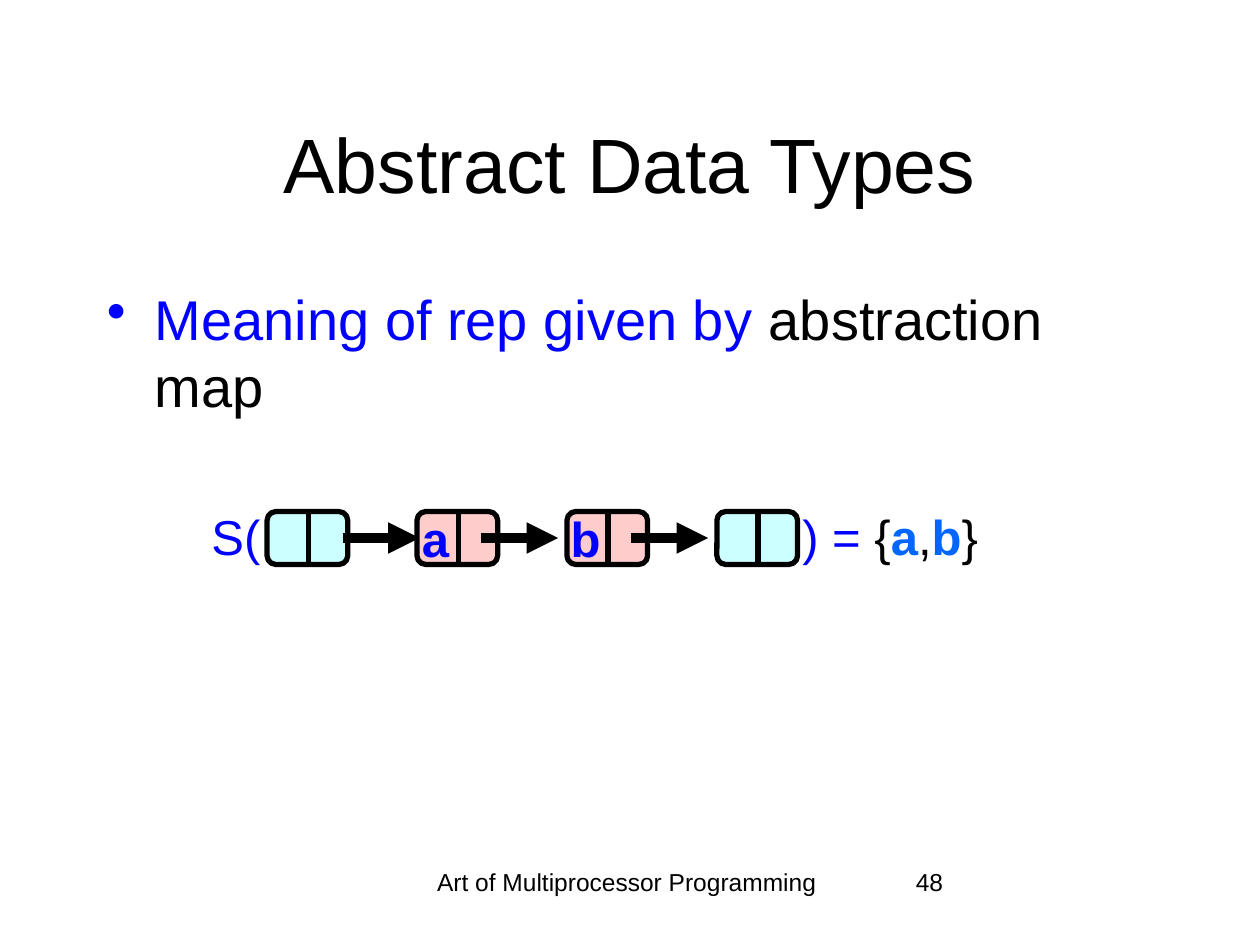
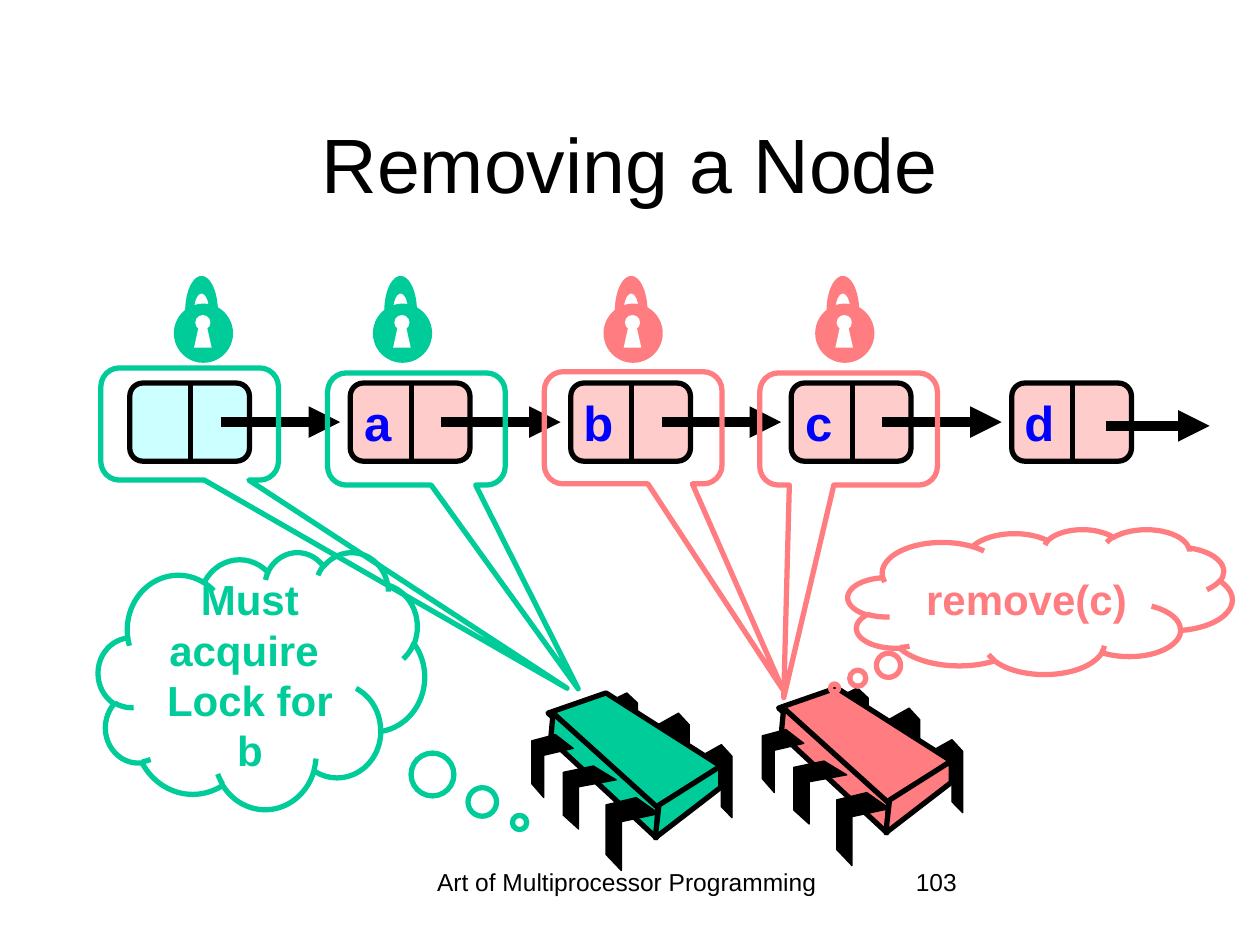
"""Build two slides on concurrent linked lists."""
import math

from lxml import etree
from pptx import Presentation
from pptx.dml.color import RGBColor
from pptx.enum import shapes, text
from pptx.oxml.ns import qn
from pptx.util import Inches, Pt

COLORS = {
    "ink": "000000",
    "paper": "FFFFFF",
    "blue": "0000FF",
    "element": "0066FF",
    "sentinel": "CCFFFF",
    "node": "FFCCCC",
    "green": "00CC99",
    "red": "FF7C80",
}
FONT = "Arial"
CENTER = text.PP_ALIGN.CENTER
TOP, MIDDLE = text.MSO_ANCHOR.TOP, text.MSO_ANCHOR.MIDDLE
PRESET = shapes.MSO_SHAPE

BACK_LEG = [(0, 0.16), (0.66, 0), (1, 0.16), (1, 1), (0.66, 0.85), (0.66, 0.29), (0, 0.43)]
FRONT_LEG = [(0.57, 0), (1, 0.22), (0.29, 0.33), (0.29, 1), (0, 0.78), (0, 0.1)]
BACK_LEG_BOXES = [(1.34, 0.41, 0.25, 0.58), (1, 0.16, 0.25, 0.58), (0.59, 0, 0.25, 0.5)]
FRONT_LEG_BOXES = [(0.59, 0.83, 0.42, 0.58), (0.25, 0.58, 0.42, 0.5), (0, 0.33, 0.33, 0.5)]
CHIP_FACES = [
    [(0.59, 0), (1.5, 0.58), (0.99, 0.93), (0.13, 0.16)],
    [(0.17, 0.16), (1, 0.91), (0.99, 1.15), (0.15, 0.37)],
    [(1.5, 0.58), (1.5, 0.75), (0.98, 1.15), (1.01, 0.89)],
]


def rgb(name):
    """Look up a named colour."""
    return RGBColor.from_string(COLORS[name])


def write(frame, paragraphs, size, color="ink", bold=False, align=None,
          anchor=TOP, wrap=True, bullet=False):
    """Fill a frame with paragraphs, each a string or a list of (text, color, bold)."""
    frame.word_wrap = wrap
    frame.auto_size = text.MSO_AUTO_SIZE.NONE
    frame.vertical_anchor = anchor
    for index, content in enumerate(paragraphs):
        paragraph = frame.add_paragraph() if index else frame.paragraphs[0]
        paragraph.alignment = align
        if bullet:
            props = paragraph._p.get_or_add_pPr()
            props.set("marL", str(Inches(0.38)))
            props.set("indent", str(-Inches(0.38)))
            etree.SubElement(props, qn("a:buChar"), char="•")
        pieces = [(content, color, bold)] if isinstance(content, str) else content
        for words, run_color, run_bold in pieces:
            run = paragraph.add_run()
            run.text = words
            run.font.name = FONT
            run.font.size = Pt(size)
            run.font.bold = run_bold
            run.font.color.rgb = rgb(run_color)


def add_label(slide, box, paragraphs, size, **style):
    """Add a text box and return its frame."""
    frame = slide.shapes.add_textbox(*map(Inches, box)).text_frame
    write(frame, paragraphs, size, **style)
    return frame


def paint(shape, fill=None, line=None, width=3):
    """Set the fill and outline of a shape."""
    shape.shadow.inherit = False
    if fill:
        shape.fill.solid()
        shape.fill.fore_color.rgb = rgb(fill)
    else:
        shape.fill.background()
    if line:
        shape.line.color.rgb = rgb(line)
        shape.line.width = Pt(width)
    else:
        shape.line.fill.background()


def add_preset(slide, preset, box, adjust=(), **look):
    """Add a painted preset shape."""
    shape = slide.shapes.add_shape(preset, *map(Inches, box))
    for index, value in enumerate(adjust):
        shape.adjustments[index] = value
    paint(shape, **look)
    return shape


def add_outline(slide, left, top, points, **look):
    """Add a closed polygon with points relative to a corner."""
    corners = [(Inches(left + x), Inches(top + y)) for x, y in points]
    builder = slide.shapes.build_freeform(*corners[0])
    builder.add_line_segments(corners[1:], close=True)
    paint(builder.convert_to_shape(), **look)


def add_line(slide, start, end, width=3, arrow=False):
    """Draw a straight line, with an arrowhead if asked."""
    line = slide.shapes.add_connector(
        shapes.MSO_CONNECTOR.STRAIGHT, *map(Inches, (*start, *end)))
    line.line.color.rgb = rgb("ink")
    line.line.width = Pt(width)
    props = line._element.spPr
    if arrow:
        etree.SubElement(props.find(qn("a:ln")), qn("a:tailEnd"), type="triangle")
    etree.SubElement(props, qn("a:effectLst"))


def add_pointer(slide, left, y, length):
    """Draw a next-pointer arrow."""
    add_line(slide, (left, y), (left + length, y), width=6, arrow=True)


def add_node(slide, left, top, width, height, key=""):
    """Draw a list node; one without a key is a sentinel."""
    add_preset(slide, PRESET.ROUNDED_RECTANGLE, (left, top, width, height),
               fill="node" if key else "sentinel", line="ink")
    divider = left + 0.51 * width
    add_line(slide, (divider, top), (divider, top + height))
    if key:
        box = (left + 0.23 * width - 0.22, top + height / 2 - 0.28, 0.44, 0.57)
        add_label(slide, box, [key], 28, color="blue", bold=True,
                  align=CENTER, wrap=False)


def add_list(slide, left, top, pitch, size, keys):
    """Draw evenly spaced nodes and return their left edges."""
    lefts = [left + index * pitch for index in range(len(keys))]
    for node_left, key in zip(lefts, keys):
        add_node(slide, node_left, top, *size, key)
    return lefts


def add_chip(slide, left, top, color):
    """Draw a processor chip on six legs."""
    def add_legs(outline, boxes):
        for x, y, width, height in boxes:
            add_outline(slide, left + x, top + y,
                        [(width * px, height * py) for px, py in outline],
                        fill="ink", line="ink", width=0.75)

    add_legs(BACK_LEG, BACK_LEG_BOXES)
    for face in CHIP_FACES:
        add_outline(slide, left, top, face, fill=color, line="ink")
    add_legs(FRONT_LEG, FRONT_LEG_BOXES)


def half_ellipse(center_x, base, radius_x, radius_y):
    """List points of an upper half ellipse from left to right."""
    angles = [math.pi * (1 - step / 24) for step in range(25)]
    return [(center_x + radius_x * math.cos(angle), base - radius_y * math.sin(angle))
            for angle in angles]


def add_lock(slide, left, top, color):
    """Draw a padlock."""
    add_preset(slide, PRESET.OVAL, (left, top + 0.22, 0.47, 0.47), fill=color)
    add_preset(slide, PRESET.OVAL, (left + 0.17, top + 0.31, 0.12, 0.12), fill="paper")
    keyhole = [(0.16, 0.57), (0.2, 0.39), (0.26, 0.39), (0.3, 0.57)]
    add_outline(slide, left, top, keyhole, fill="paper")
    shackle = half_ellipse(0.22, 0.28, 0.13, 0.28) + half_ellipse(0.22, 0.28, 0.06, 0.14)[::-1]
    add_outline(slide, left, top, shackle, fill=color)


def add_thought(slide, box, tip, color, paragraphs):
    """Draw a thought cloud with its words."""
    cloud = add_preset(slide, PRESET.CLOUD_CALLOUT, box, tip, line=color)
    write(cloud.text_frame, paragraphs, 24, color=color, bold=True,
          align=CENTER, anchor=MIDDLE)


def start_slide(deck, heading, number):
    """Add a slide with its title and footer."""
    slide = deck.slides.add_slide(deck.slide_layouts[5])
    title = slide.shapes.title
    title.left, title.top, title.width, title.height = map(Inches, (0.75, 0.67, 8.5, 1.25))
    write(title.text_frame, [heading], 44, align=CENTER, anchor=MIDDLE)
    add_label(slide, (3.1, 6.83, 3.75, 0.5), ["Art of Multiprocessor Programming"],
              14, align=CENTER)
    add_label(slide, (7.17, 6.83, 2.08, 0.5), [number], 14)
    return slide


def build_abstraction(deck):
    """Build the slide on the abstraction map."""
    slide = start_slide(deck, "Abstract Data Types", "48")
    meaning = [("Meaning of rep given by ", "blue", False), ("abstraction map", "ink", False)]
    add_label(slide, (0.75, 2.21, 8.5, 1.3), [meaning], 32, bullet=True)

    formula = [("S(\t) = ", "blue", False), ("{", "ink", False), ("a", "element", True),
               (",", "ink", False), ("b", "element", True), ("}", "ink", False)]
    frame = add_label(slide, (1.58, 3.97, 7, 0.6), [formula], 28)
    tabs = etree.SubElement(frame.paragraphs[0]._p.get_or_add_pPr(), qn("a:tabLst"))
    etree.SubElement(tabs, qn("a:tab"), pos=str(Inches(4.69)), algn="l")

    lefts = add_list(slide, 2.12, 4.06, 1.19, (0.64, 0.42), ["", "a", "b", ""])
    for left, offset in zip(lefts, (0.6, 0.51, 0.51)):
        add_pointer(slide, left + offset, 4.27, 0.61)


def build_removal(deck):
    """Build the slide on removing a node under locks."""
    slide = start_slide(deck, "Removing a Node", "103")
    lefts = add_list(slide, 1.03, 3.04, 1.75, (0.95, 0.62), ["", "a", "b", "c", "d"])
    for left in lefts[:-1]:
        add_pointer(slide, left + 0.72, 3.35, 0.95)
    add_pointer(slide, lefts[-1] + 0.75, 3.38, 0.82)

    add_chip(slide, 4.22, 5.5, "green")
    add_chip(slide, 6.05, 5.46, "red")

    holds = [
        (0.8, 2.92, (2.125, 2.356), 1.38, "green"),
        (2.6, 2.96, (0.911, 2.317), 2.96, "green"),
        (4.32, 2.95, (0.842, 2.332), 4.79, "red"),
        (6.03, 2.96, (-0.365, 2.395), 6.47, "red"),
    ]
    for left, top, tip, lock_left, color in holds:
        add_preset(slide, PRESET.ROUNDED_RECTANGULAR_CALLOUT, (left, top, 1.41, 0.89),
                   (*tip, 0.167), line=color)
        add_lock(slide, lock_left, 2.19, color)

    add_thought(slide, (0.78, 4.38, 2.59, 2.04), (0.791, 0.553), "green",
                ["Must acquire ", "Lock for b"])
    add_thought(slide, (6.73, 4.2, 3.05, 1.15), (-0.535, 0.596), "red", ["remove(c)"])


def main():
    """Build and save the deck."""
    deck = Presentation()
    deck.slide_width, deck.slide_height = Inches(10), Inches(7.5)
    build_abstraction(deck)
    build_removal(deck)
    deck.save("out.pptx")


if __name__ == "__main__":
    main()
